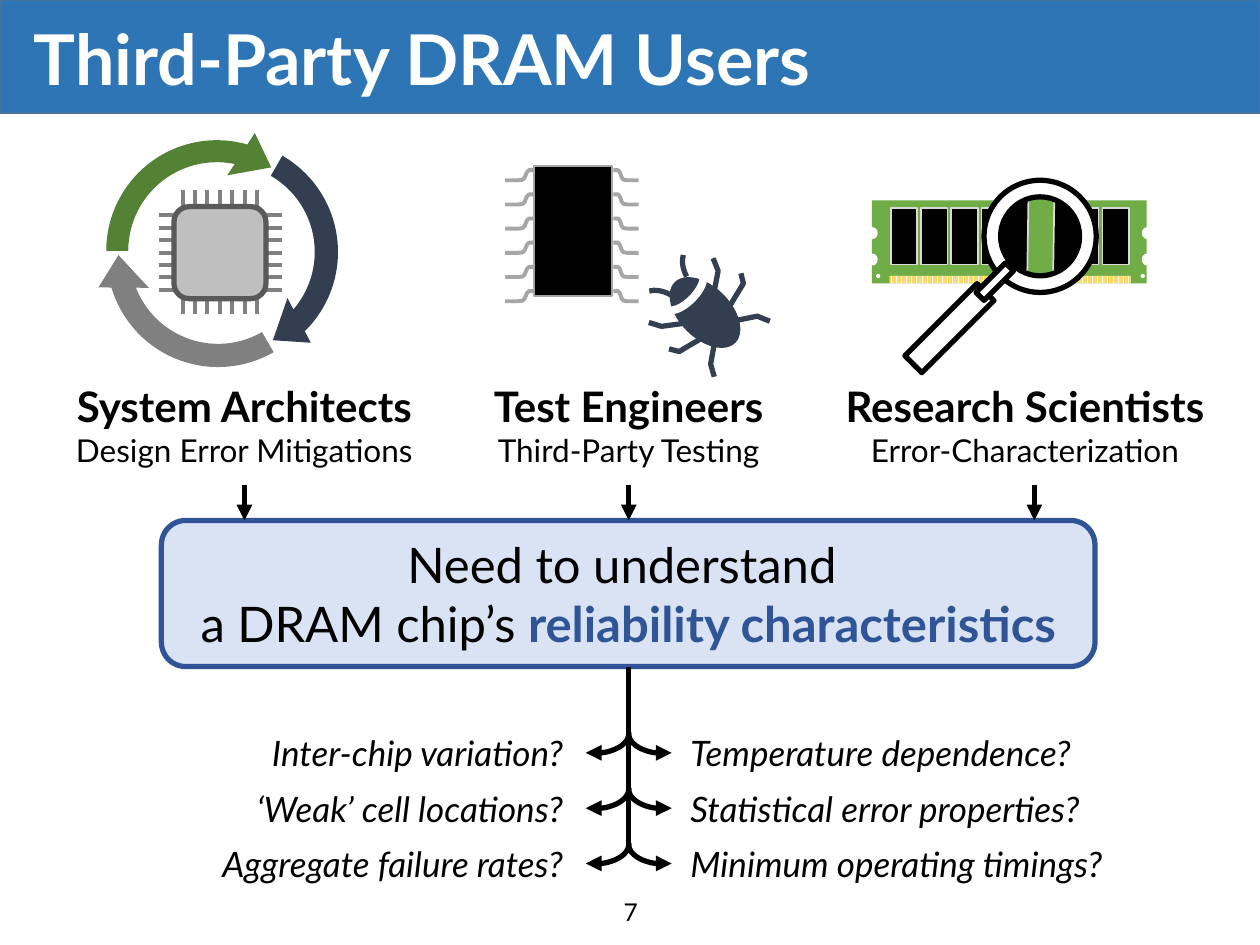
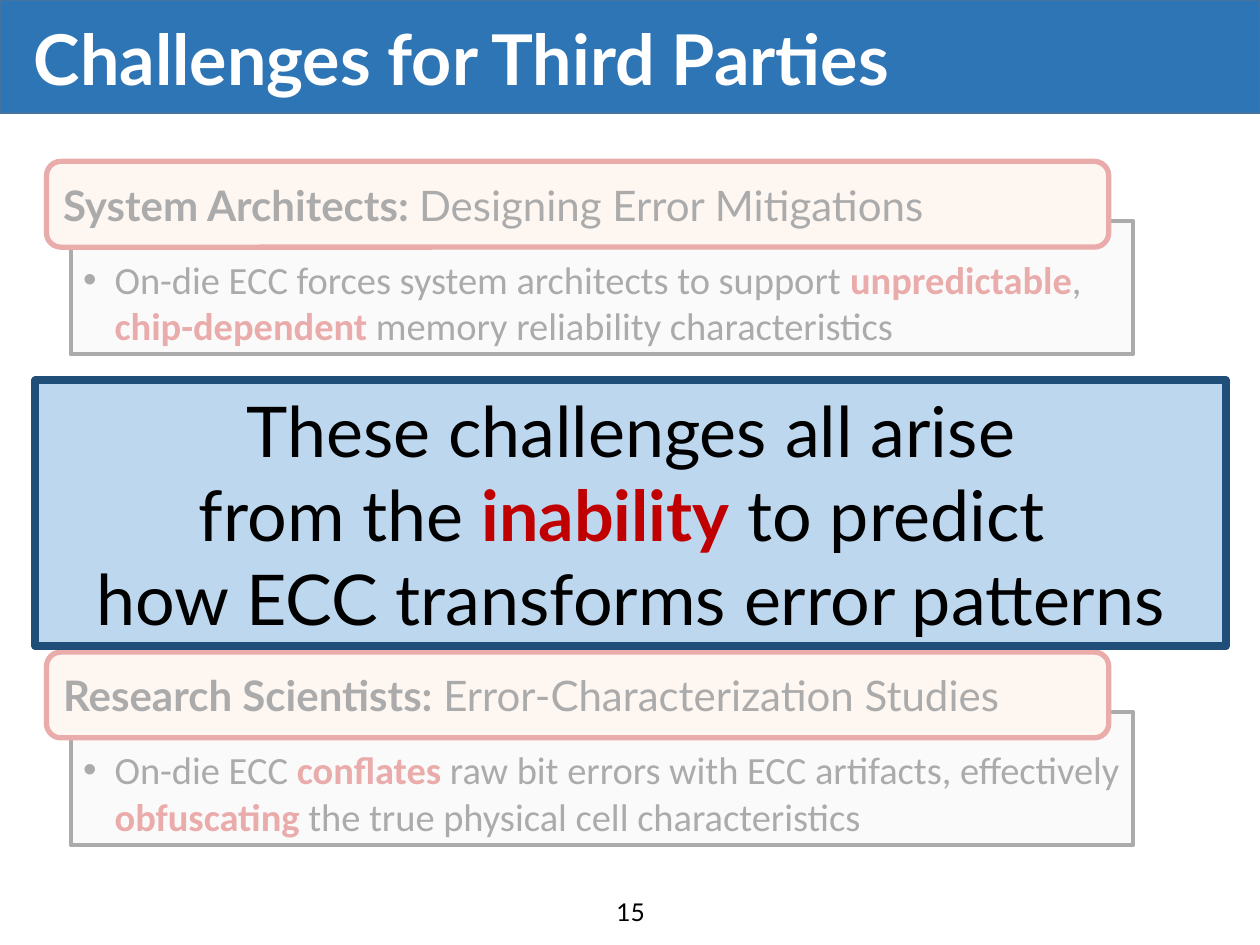
from lxml.etree import SubElement
from pptx import Presentation
from pptx.dml.color import RGBColor
from pptx.enum.dml import MSO_PATTERN
from pptx.enum.shapes import MSO_CONNECTOR, MSO_SHAPE
from pptx.enum.text import MSO_ANCHOR, MSO_AUTO_SIZE, PP_ALIGN
from pptx.oxml.ns import qn
from pptx.util import Pt

COLORS = {
    "black": "000000", "white": "FFFFFF", "band": "2E75B6", "band edge": "43739E",
    "need": "DAE3F3", "need edge": "2F5597", "navy": "333F50", "forest": "548235",
    "gray": "808080", "chip": "BFBFBF", "chip edge": "595959", "pin": "A6A6A6",
    "board": "70AD47", "memory edge": "D9D9D9", "gold": "FFD966", "red": "C00000",
    "peach": "FBE5D6", "panel": "F2F2F2", "banner": "BDD7EE", "banner edge": "1F4E79",
}
FONT = "Lato"
BOLD = {"bold": True}
RED = {"bold": True, "color": "red"}
CENTER, LEFT, RIGHT = PP_ALIGN.CENTER, PP_ALIGN.LEFT, PP_ALIGN.RIGHT


def rgb(name):
    return RGBColor.from_string(COLORS[name])


def paint(shape, fill=None, line=None, weight=1):
    shape.shadow.inherit = False
    if fill:
        shape.fill.solid()
        shape.fill.fore_color.rgb = rgb(fill)
    else:
        shape.fill.background()
    if line:
        stroke(shape, line, weight)
    else:
        shape.line.fill.background()


def stroke(shape, color, weight):
    shape.line.color.rgb = rgb(color)
    shape.line.width = Pt(weight)


def add_arrowhead(shape, end):
    """Put a triangle at the "headEnd" (start) or "tailEnd" (finish) of a line."""
    outline = shape.element.spPr.find(qn("a:ln"))
    SubElement(outline, qn(f"a:{end}"), type="triangle")


def draw(page, kind, frame, fill=None, line=None, weight=1, rotation=0, adjustments=()):
    shape = page.shapes.add_shape(kind, *map(Pt, frame))
    paint(shape, fill, line, weight)
    shape.rotation = rotation
    for index, value in enumerate(adjustments):
        shape.adjustments[index] = value
    return shape


def draw_line(page, start, finish, color="black", weight=3, arrow=False):
    line = page.shapes.add_connector(MSO_CONNECTOR.STRAIGHT, *map(Pt, start + finish))
    stroke(line, color, weight)
    if arrow:
        add_arrowhead(line, "tailEnd")
    SubElement(line.element.spPr, qn("a:effectLst"))


def draw_path(page, points, color, weight):
    (x, y), *rest = [(Pt(x), Pt(y)) for x, y in points]
    builder = page.shapes.build_freeform(x, y)
    builder.add_line_segments(rest, close=False)
    paint(builder.convert_to_shape(), None, color, weight)


def write(box, lines, size, align=LEFT, anchor=MSO_ANCHOR.MIDDLE, font=FONT):
    """Fill a box with lines, each a list of (text, style) spans."""
    text = box.text_frame
    text.word_wrap = True
    text.auto_size = MSO_AUTO_SIZE.NONE
    text.vertical_anchor = anchor
    for index, spans in enumerate(lines):
        para = text.add_paragraph() if index else text.paragraphs[0]
        para.alignment = align
        para.space_before = Pt(0)
        for words, style in spans:
            span = para.add_run()
            span.text = words
            span.font.name = font
            span.font.size = Pt(style.get("size", size))
            span.font.bold = style.get("bold", False)
            span.font.italic = style.get("italic", False)
            span.font.color.rgb = rgb(style.get("color", "black"))


def add_text(page, frame, lines, size, align):
    box = page.shapes.add_textbox(*map(Pt, frame))
    write(box, lines, size, align, MSO_ANCHOR.TOP)


def place(shape, frame):
    shape.left, shape.top, shape.width, shape.height = map(Pt, frame)


def add_page(deck, layout, title, number):
    page = deck.slides.add_slide(deck.slide_layouts[layout])
    heading = page.shapes.title
    place(heading, (12.2, 6.5, 694.1, 59))
    write(heading, [[(title, {"bold": True, "color": "white"})]], 40)
    heading.text_frame.paragraphs[0].line_spacing = 0.9
    add_text(page, (279.4, 509, 162, 22.3), [[(number, {})]], 14, CENTER)
    return page


def add_master_band(deck, page):
    """Draw the title band and move it to the back of the slide master."""
    band = draw(page, MSO_SHAPE.RECTANGLE, (0, 0, 720, 64.8), "band", "band edge")
    band.element.nvSpPr.cNvPr.set("id", "100")
    deck.slide_master.shapes.element.insert(2, band.element)


def draw_processor_cycle(page):
    for index in range(7):
        step = 7.08 * index
        draw_line(page, (90.7, 123.1 + step), (161.3, 123.1 + step), "gray", 2.25)
        draw_line(page, (104.4 + step, 108.7), (104.4 + step, 179.3), "gray", 2.25)
    draw(page, MSO_SHAPE.ROUNDED_RECTANGLE, (99.4, 118.1, 52.6, 52.6),
         "chip", "chip edge", 3)
    for left, top, color, rotation, thickness, start in (
            (52.6, 72, "forest", 0, 0.088, 170.45),
            (58.3, 72.7, "navy", 120, 0.093, 170.05),
            (53.3, 74.9, "gray", 240, 0.093, 168.85)):
        draw(page, MSO_SHAPE.CIRCULAR_ARROW, (left, top, 142.6, 142.6), color,
             rotation=rotation, adjustments=(thickness, 11.42, start, 108, 0.101))


def draw_chip_with_bug(page):
    bend = [(0, 0), (.18, 0), (.25, .2), (.33, .75), (.4, .95), (.55, 1), (1, 1)]
    for row in range(6):
        top = 97.2 + 13.82 * row
        for left, reach in ((350.6, 14.4), (305.3, -16.6)):
            draw_path(page, [(left + reach * x, top + 5.8 * y) for x, y in bend],
                      "pin", 2.25)
    draw(page, MSO_SHAPE.RECTANGLE, (305.3, 95, 44.6, 74.2), "black", "pin")

    draw(page, MSO_SHAPE.OVAL, (388.1, 154.1, 29.5, 49), "navy", rotation=315)
    for frame, color, weight, angles in (
            ((375.8, 159.1, 29.5, 13.7), "white", 4.5, (7.05, 101.76)),
            ((368.6, 162.7, 25.2, 39.6), "navy", 3, (169.75, 194.29)),
            ((393.8, 136.1, 25.9, 39.6), "navy", 3, (129.71, 154.25))):
        draw(page, MSO_SHAPE.ARC, frame, None, color, weight, 315, angles)
    legs = [
        [(421.9, 182.9), (432.7, 180.7), (439.9, 183.6)],
        [(408.2, 196.6), (406.1, 208.1), (408.2, 215.3)],
        [(408.2, 166.3), (410.4, 154.8), (407.5, 147.6)],
        [(389.5, 185), (378, 186.5), (370.8, 184.3)],
        [(416.9, 175), (424.8, 162), (423.4, 156.2)],
        [(400.3, 193.7), (388.1, 200.9), (382.3, 199.4)],
    ]
    for leg in legs:
        draw_path(page, leg, "navy", 3)


def draw_inspected_module(page):
    draw(page, MSO_SHAPE.RECTANGLE, (498.2, 114.5, 157, 47.5), "board")
    for notch, hole in ((496.1, 501.1), (653, 652.3)):
        for frame in ((notch, 130.3, 5, 5.8), (notch, 145.4, 5, 5.8),
                      (hole, 157, 1.4, 1.4)):
            draw(page, MSO_SHAPE.OVAL, frame, "white", "white")
    for index in range(8):
        draw(page, MSO_SHAPE.RECTANGLE, (509 + 17.28 * index, 118.8, 15.1, 32.4),
             "black", "memory edge")
    contacts = draw(page, MSO_SHAPE.RECTANGLE, (508.3, 157.7, 137.5, 4.3))
    contacts.fill.patterned()
    contacts.fill.pattern = MSO_PATTERN.DARK_VERTICAL
    contacts.fill.fore_color.rgb = rgb("gold")
    contacts.fill.back_color.rgb = rgb("white")

    draw(page, MSO_SHAPE.RECTANGLE, (587.5, 108, 15.1, 52.6), "board")
    for left, top, rotation in ((569.5, 108.7, 0), (567.4, 109.4, 180)):
        draw(page, MSO_SHAPE.CHORD, (left, top, 52.6, 52.6), "black", "memory edge",
             rotation=rotation, adjustments=(65.71, 151.34))
    draw(page, MSO_SHAPE.DONUT, (562.3, 103, 64.1, 64.1), "white", "black", 3,
         adjustments=(0.148,))
    for frame in ((513.4, 180.7, 58.3, 13.7), (556.6, 157.7, 23.8, 6.5)):
        draw(page, MSO_SHAPE.RECTANGLE, frame, "white", "black", 3, 315)


def add_persona(page, left, width, role, task, arrow_x):
    lines = [[(role, BOLD)], [(task, {"size": 18})]]
    add_text(page, (left, 213.8, width, 58.3), lines, 24, CENTER)
    draw_line(page, (arrow_x, 277.2), (arrow_x, 297.4), arrow=True)


def add_question_pair(page, row, left_question, right_question):
    top = 414.7 + 31.6 * row
    for frame, question, align in (
            ((77, top, 252, 31.7), left_question, RIGHT),
            ((387.4, top, 320, 31.7), right_question, LEFT)):
        add_text(page, frame, [[(question, {"italic": True})]], 20, align)
    for left, angles, end in ((359.3, (40.8, 109.19), "headEnd"),
                              (319, (214.81, 67.2), "tailEnd")):
        branch = draw(page, MSO_SHAPE.ARC, (left, top - 6.5, 40.3, 22.3),
                      None, "black", 3, adjustments=angles)
        add_arrowhead(branch, end)


def add_challenge(page, panel, top, heading, spans):
    """Fill a list placeholder and overlap it with a rounded heading."""
    place(panel, (40.3, top + 34, 607, 76.3))
    paint(panel, "panel", "black", 2.25)
    write(panel, [spans], 22, anchor=MSO_ANCHOR.BOTTOM, font="Calibri")
    properties = panel.text_frame.paragraphs[0]._p.get_or_add_pPr()
    properties.set("marL", str(Pt(18)))
    properties.set("indent", str(Pt(-18)))
    label = draw(page, MSO_SHAPE.ROUNDED_RECTANGLE, (26.6, top, 607, 49),
                 "peach", "red", 3)
    write(label, [heading], 24)


def add_veil(page):
    veil = draw(page, MSO_SHAPE.RECTANGLE, (13.7, 75.6, 694.1, 434.2), "white")
    color = next(veil.element.spPr.iter(qn("a:srgbClr")))
    SubElement(color, qn("a:alpha"), val="67000")


def build_users(deck):
    page = add_page(deck, 5, "Third-Party DRAM Users", "7")
    add_master_band(deck, page)
    need = draw(page, MSO_SHAPE.ROUNDED_RECTANGLE, (92.2, 297.4, 533.5, 83.5),
                "need", "need edge", 3)
    emphasis = {"bold": True, "color": "need edge"}
    write(need, [[("Need to understand ", {})],
                 [("a DRAM chip’s ", {}), ("reliability characteristics", emphasis)]],
          28, CENTER)
    for persona in (
            (12.2, 254.9, "System Architects", "Design Error Mitigations", 139.7),
            (260.6, 197.3, "Test Engineers", "Third-Party Testing", 359.3),
            (463.7, 244, "Research Scientists", "Error-Characterization", 591.1)):
        add_persona(page, *persona)
    draw_line(page, (359.3, 380.9), (359.3, 482.4))
    questions = [
        ("Inter-chip variation?", "Temperature dependence?"),
        ("‘Weak’ cell locations?", "Statistical error properties?"),
        ("Aggregate failure rates?", "Minimum operating timings?"),
    ]
    for row, pair in enumerate(questions):
        add_question_pair(page, row, *pair)
    draw_processor_cycle(page)
    draw_inspected_module(page)
    draw_chip_with_bug(page)


def build_challenges(deck):
    page = add_page(deck, 3, "Challenges for Third Parties", "15")
    architects, scientists = list(page.placeholders)[1:]
    add_challenge(
        page, architects, 92.2,
        [("System Architects: ", BOLD), ("Designing Error Mitigations", {})],
        [("On-die ECC forces system architects to support ", {}),
         ("unpredictable", RED), (", ", {}), ("chip-dependent", RED),
         (" memory reliability characteristics", {})])
    add_challenge(
        page, scientists, 372.6,
        [("Research Scientists:", BOLD), (" Error-Characterization Studies", {})],
        [("On-die ECC ", {}), ("conflates ", RED),
         ("raw bit errors with ECC artifacts, effectively ", {}),
         ("obfuscating", RED), (" the true physical cell characteristics", {})])
    add_veil(page)
    banner = draw(page, MSO_SHAPE.RECTANGLE, (20.2, 217.4, 680.4, 151.9),
                  "banner", "banner edge", 4.5)
    write(banner, [[("These challenges all arise", {})],
                   [("from the ", {}), ("inability", RED), (" to predict ", {})],
                   [("how ECC transforms error patterns", {})]], 40, CENTER)


def main():
    deck = Presentation()
    deck.slide_width, deck.slide_height = Pt(720), Pt(540)
    build_users(deck)
    build_challenges(deck)
    deck.save("out.pptx")


if __name__ == "__main__":
    main()
